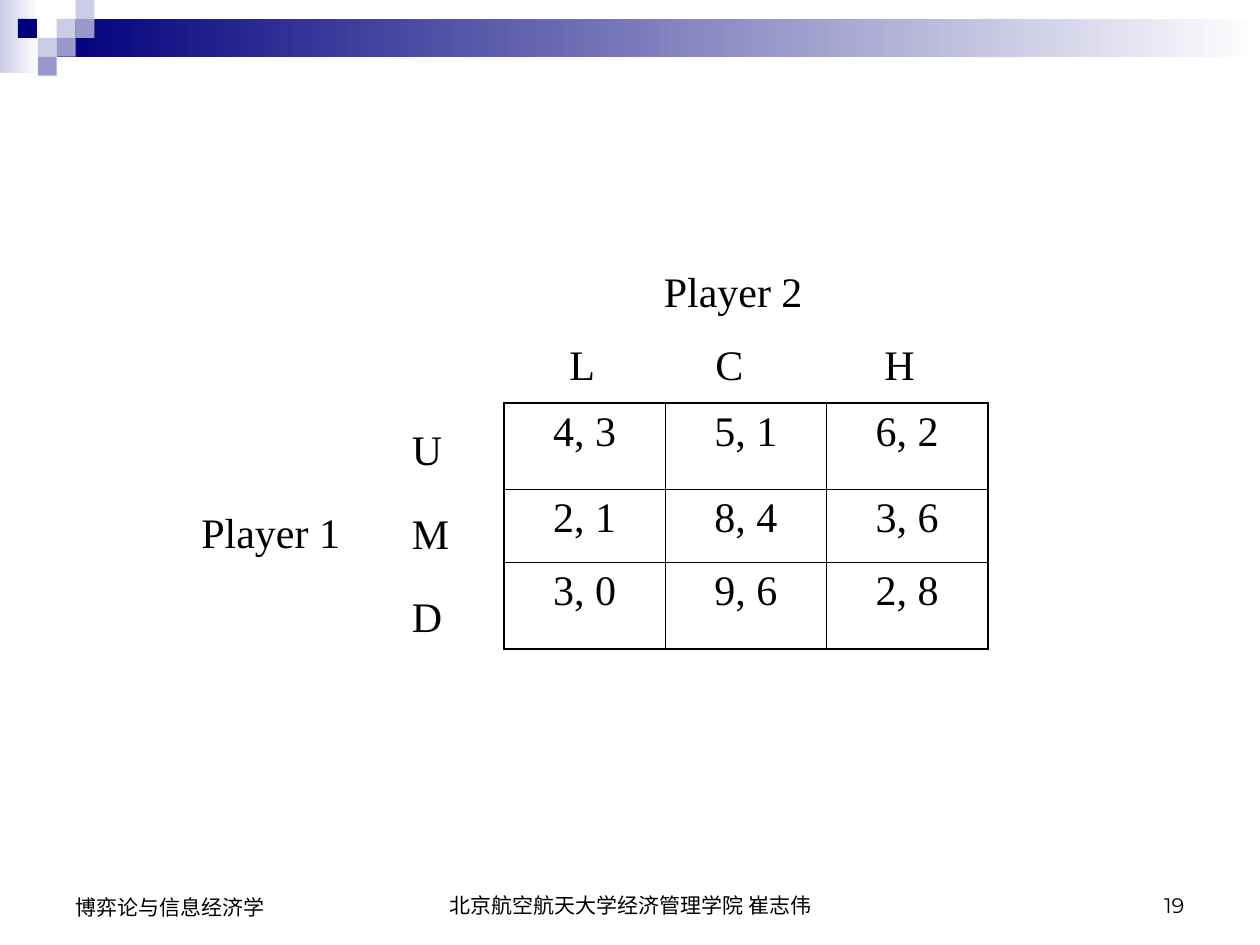
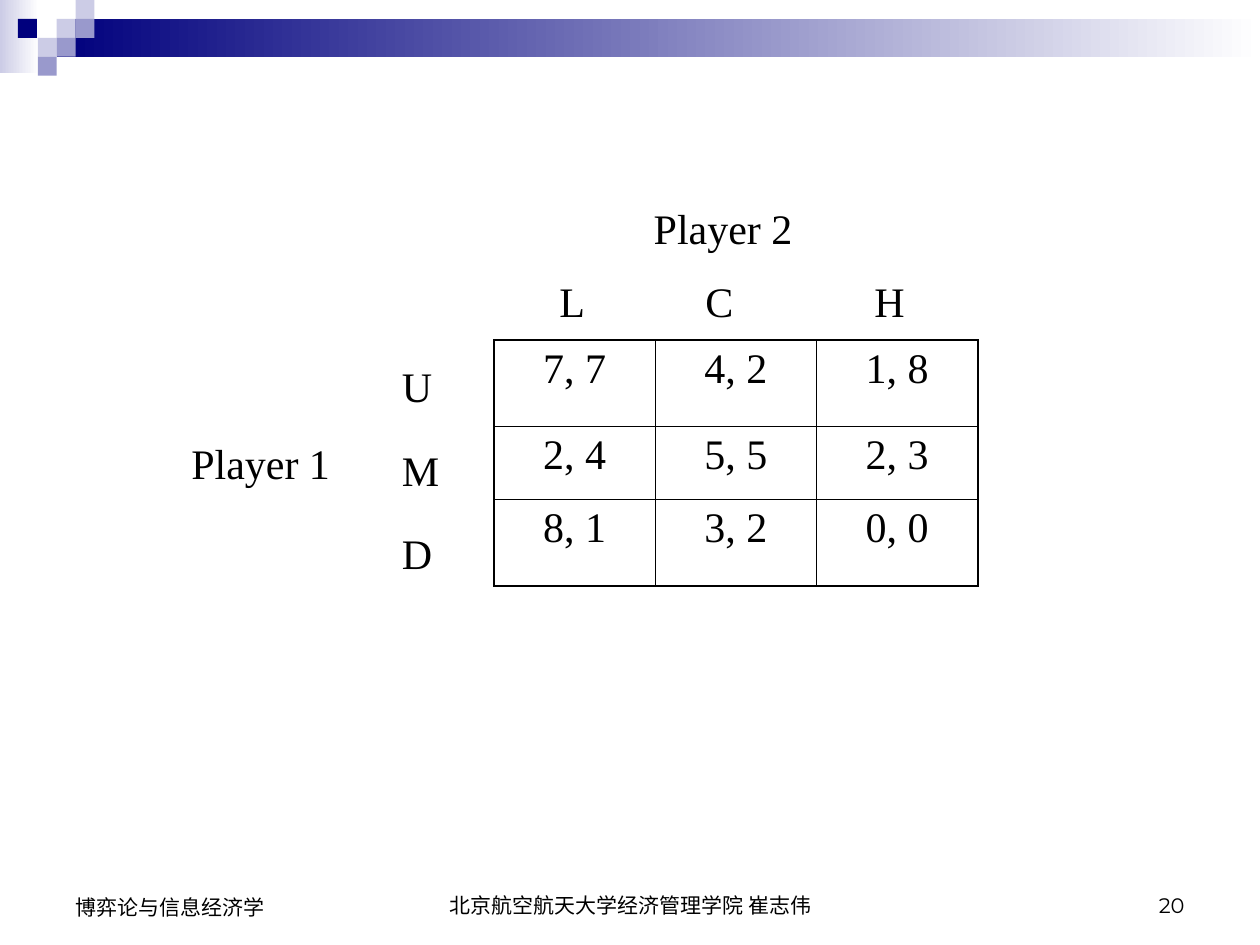
from lxml import etree
from pptx import Presentation, util as u
from pptx.dml.color import RGBColor
from pptx.enum import shapes, text
from pptx.oxml.ns import qn

# Content: one payoff matrix per slide
GAMES = [
    {"number": "19", "origin": (4, 3.2), "player_1_top": 0.77,
     "payoffs": [["4, 3", "5, 1", "6, 2"],
                 ["2, 1", "8, 4", "3, 6"],
                 ["3, 0", "9, 6", "2, 8"]]},
    {"number": "20", "origin": (3.92, 2.7), "player_1_top": 0.72,
     "payoffs": [["7, 7", "4, 2", "1, 8"],
                 ["2, 4", "5, 5", "2, 3"],
                 ["8, 1", "3, 2", "0, 0"]]},
]
ROW_MOVES = ["U", "M", "D"]
COLUMN_MOVES = [("L", 0.42), ("C", 1.58), ("H", 2.92)]  # left, from the matrix edge
LEFT, CENTER, RIGHT = text.PP_ALIGN.LEFT, text.PP_ALIGN.CENTER, text.PP_ALIGN.RIGHT

# Shared look
BLACK, NAVY, MID, PALE, WHITE = "000000", "00007D", "9999CC", "CCCCE6", "FFFFFF"
MATRIX_FONT = {"name": "Times New Roman", "size": 24}
UNIT = 0.15  # side of one decorative square
SQUARES = [(3, 1, PALE), (4, 0, PALE), (4, 1, MID), (2, 2, PALE),
           (0.95, 1, NAVY), (3, 2, MID), (2, 3, MID)]
COLUMN_WIDTH, ROW_HEIGHTS = 1.28, [0.68, 0.58, 0.69]
MOVE_PITCH = 0.665
OUTER, INNER = 1.08, 0.45  # border widths in points
FOOTER_TOP = 6.83


def color(value):
    return RGBColor.from_string(value)


def write(frame, words, font, align=LEFT):
    para = frame.paragraphs[0]
    para.alignment = align
    span = para.add_run()
    span.text = words
    for name, value in font.items():
        setattr(span.font, name, u.Pt(value) if name == "size" else value)
    span.font.color.rgb = color(BLACK)


def add_text(page, words, left, top, width, height, font, align=LEFT,
             anchor=text.MSO_ANCHOR.TOP):
    box = page.shapes.add_textbox(*map(u.Inches, (left, top, width, height)))
    box.text_frame.word_wrap = True
    box.text_frame.vertical_anchor = anchor
    write(box.text_frame, words, font, align)


def add_block(page, left, top, width, height, start, end=None):
    block = page.shapes.add_shape(shapes.MSO_SHAPE.RECTANGLE,
                                  *map(u.Inches, (left, top, width, height)))
    block.shadow.inherit = False
    block.line.fill.background()
    if end is None:
        block.fill.solid()
        block.fill.fore_color.rgb = color(start)
        return
    block.fill.gradient()
    block.fill.gradient_angle = 0
    for stop, value, position in zip(block.fill.gradient_stops, (start, end), (0, 1)):
        stop.color.rgb = color(value)
        stop.position = position


def add_frame(page, number):
    # Top band with its squares
    add_block(page, 0, 0, 0.31, 0.58, PALE, WHITE)
    add_block(page, 3 * UNIT, UNIT, 10 - 3 * UNIT, 2 * UNIT, NAVY, WHITE)
    for column, row, value in SQUARES:
        add_block(page, column * UNIT, row * UNIT, UNIT, UNIT, value)
    # Footer
    footers = [("北京航空航天大学经济管理学院 崔志伟", 3.42, 3.17, 0.5, "Arial", CENTER),
               (number, 7.17, 2.33, 0.5, "Montserrat", RIGHT),
               ("博弈论与信息经济学", 0.5, 2.33, 0.52, "Arial", LEFT)]
    for words, left, width, height, name, align in footers:
        add_text(page, words, left, FOOTER_TOP, width, height,
                 {"name": name, "size": 12}, align, text.MSO_ANCHOR.BOTTOM)


def set_borders(cell, widths):
    properties = cell._tc.get_or_add_tcPr()
    for index, (side, points) in enumerate(widths.items()):
        line = etree.Element(qn("a:ln" + side), w=str(u.Pt(points)))
        fill = etree.SubElement(line, qn("a:solidFill"))
        etree.SubElement(fill, qn("a:srgbClr"), val=BLACK)
        properties.insert(index, line)


def add_matrix(page, payoffs, left, top):
    size = len(payoffs)
    last = size - 1
    table = page.shapes.add_table(size, size, *map(u.Inches, (
        left, top, size * COLUMN_WIDTH, sum(ROW_HEIGHTS)))).table
    table.first_row = table.horz_banding = False
    for column in table.columns:
        column.width = u.Inches(COLUMN_WIDTH)
    for r, values in enumerate(payoffs):
        table.rows[r].height = u.Inches(ROW_HEIGHTS[r])
        for c, payoff in enumerate(values):
            cell = table.cell(r, c)
            cell.fill.background()
            write(cell.text_frame, payoff, MATRIX_FONT, CENTER)
            edges = {"L": c == 0, "R": c == last, "T": r == 0, "B": r == last}
            set_borders(cell, {side: OUTER if edge else INNER
                               for side, edge in edges.items()})


def add_game(page, game):
    left, top = game["origin"]
    add_matrix(page, game["payoffs"], left, top)
    # Labels placed from the matrix corner: words, left, top, width
    labels = [("Player 2", 1.17, -1.14, 1.83),
              ("Player 1", -2.5, game["player_1_top"], 1.33)]
    labels += [(move, -0.83, 0.11 + i * MOVE_PITCH, 0.58)
               for i, move in enumerate(ROW_MOVES)]
    labels += [(move, across, -0.56, 0.58) for move, across in COLUMN_MOVES]
    for words, across, down, width in labels:
        add_text(page, words, left + across, top + down, width, 0.5, MATRIX_FONT)


def main():
    deck = Presentation()
    deck.slide_width, deck.slide_height = u.Inches(10), u.Inches(7.5)
    for game in GAMES:
        page = deck.slides.add_slide(deck.slide_layouts[6])
        add_frame(page, game["number"])
        add_game(page, game)
    deck.save("out.pptx")


if __name__ == "__main__":
    main()
